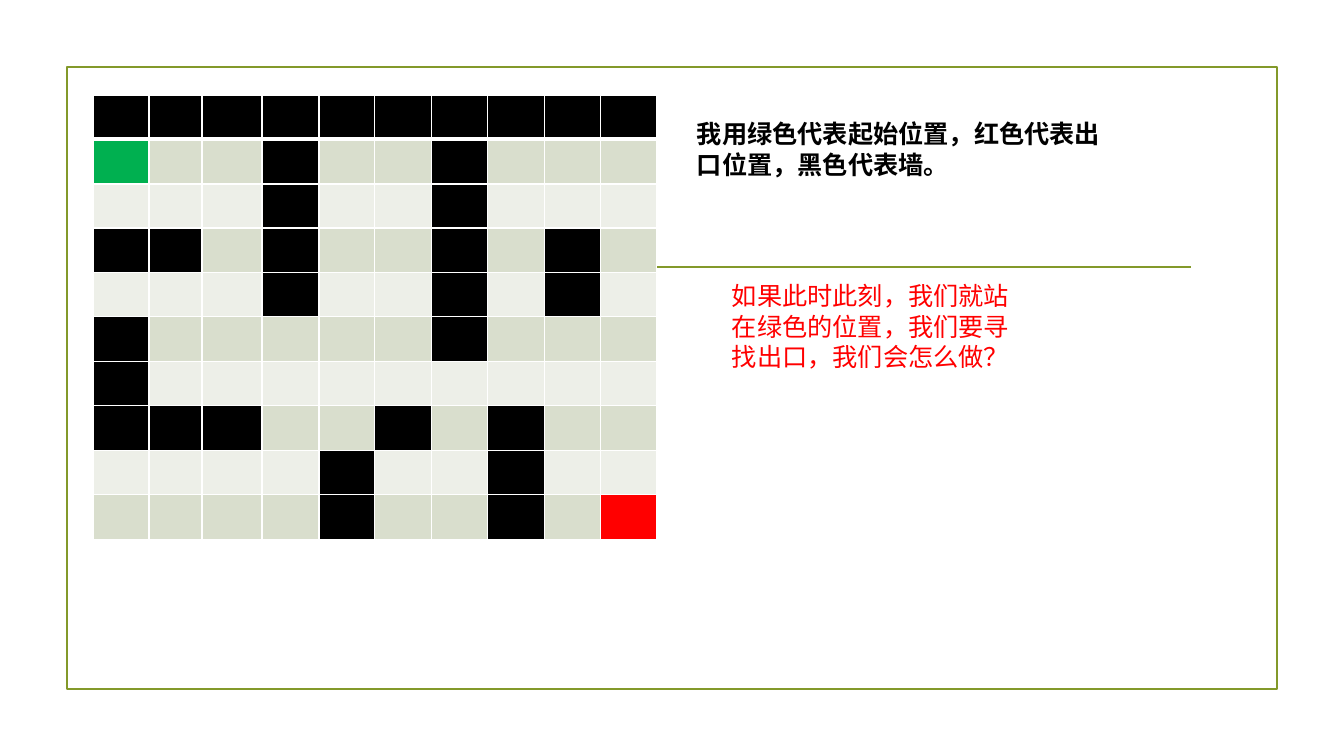
from lxml.etree import SubElement
from pptx import Presentation
from pptx.dml.color import RGBColor
from pptx.enum.shapes import MSO_CONNECTOR, MSO_SHAPE
from pptx.enum.text import MSO_AUTO_SIZE, PP_ALIGN
from pptx.oxml import parse_xml
from pptx.oxml.ns import nsdecls, qn
from pptx.util import Emu, Pt

COLORS = {
    "olive": "83992A",
    "wall": "000000",
    "start": "00B050",
    "exit": "FF0000",
    "odd": "D9DECD",
    "even": "EDEFE8",
    "grid": "FFFFFF",
}
MAZE = [
    "##########",
    "S..#..#...",
    "...#..#...",
    "##.#..#.#.",
    "...#..#.#.",
    "#.....#...",
    "#.........",
    "###..#.#..",
    "....#..#..",
    "....#..#.E",
]
MARKS = {"#": "wall", "S": "start", "E": "exit"}
COLUMN_WIDTHS = [56, 53, 60, 57, 56, 57, 56, 57, 56, 56]
ROW_HEIGHTS = [44, 45] * 5


def px(length):
    return Emu(round(length * 914400 / 100.8))


def rgb(name):
    return RGBColor.from_string(COLORS[name])


class SlideBuilder:
    font = "Noto Sans CJK SC"
    text_size = Pt(18)
    line_spacing = Pt(21.5)
    line_width = Pt(1.25)

    def __init__(self, slide):
        self.slide = slide

    def stroke(self, line):
        line.color.rgb = rgb("olive")
        line.width = self.line_width

    def frame(self, left, top, width, height):
        border = self.slide.shapes.add_shape(
            MSO_SHAPE.RECTANGLE, px(left), px(top), px(width), px(height))
        border.shadow.inherit = False
        border.fill.background()
        self.stroke(border.line)

    def rule(self, x1, x2, y):
        divider = self.slide.shapes.add_connector(
            MSO_CONNECTOR.STRAIGHT, px(x1), px(y), px(x2), px(y))
        self.stroke(divider.line)
        SubElement(divider._element.spPr, qn("a:effectLst"))

    def cell_borders(self, cell, top, bottom):
        """Outline a cell; top and bottom are line widths in points."""
        sides = {"L": 1, "R": 1, "T": top, "B": bottom}
        for position, (side, points) in enumerate(sides.items()):
            cell._tc.get_or_add_tcPr().insert(position, parse_xml(
                f'<a:ln{side} {nsdecls("a")} w="{Pt(points)}"><a:solidFill>'
                f'<a:srgbClr val="{COLORS["grid"]}"/></a:solidFill></a:ln{side}>'))

    def maze(self, left, top):
        table = self.slide.shapes.add_table(
            len(MAZE), len(COLUMN_WIDTHS), px(left), px(top),
            px(sum(COLUMN_WIDTHS)), px(sum(ROW_HEIGHTS))).table
        for column, width in zip(table.columns, COLUMN_WIDTHS):
            column.width = px(width)
        for r, marks in enumerate(MAZE):
            table.rows[r].height = px(ROW_HEIGHTS[r])
            floor = "odd" if r % 2 else "even"
            for c, mark in enumerate(marks):
                cell = table.cell(r, c)
                cell.fill.solid()
                cell.fill.fore_color.rgb = rgb(MARKS.get(mark, floor))
                self.cell_borders(cell, top=3 if r == 1 else 1,
                                  bottom=3 if r == 0 else 1)

    def text(self, words, left, top, width, height, color, bold=False):
        frame = self.slide.shapes.add_textbox(
            px(left), px(top), px(width), px(height)).text_frame
        frame.word_wrap = True
        frame.auto_size = MSO_AUTO_SIZE.SHAPE_TO_FIT_TEXT
        paragraph = frame.paragraphs[0]
        paragraph.alignment = PP_ALIGN.LEFT
        paragraph.line_spacing = self.line_spacing
        run = paragraph.add_run()
        run.text = words
        run.font.name = self.font
        run.font.size = self.text_size
        run.font.bold = bold
        run.font.color.rgb = rgb(color)
        SubElement(run._r.get_or_add_rPr(), qn("a:ea"), typeface=self.font)


def main():
    deck = Presentation()
    deck.slide_width, deck.slide_height = px(1344), px(756)
    builder = SlideBuilder(deck.slides.add_slide(deck.slide_layouts[6]))
    builder.frame(67, 67, 1210, 622)
    builder.rule(154, 1191, 267)
    builder.maze(93, 95)
    builder.text("我用绿色代表起始位置，红色代表出口位置，黑色代表墙。",
                 687, 114, 424, 102, "wall", bold=True)
    builder.text("如果此时此刻，我们就站在绿色的位置，我们要寻找出口，我们会怎么做？",
                 722, 276, 318, 102, "exit")
    deck.save("out.pptx")


if __name__ == "__main__":
    main()
